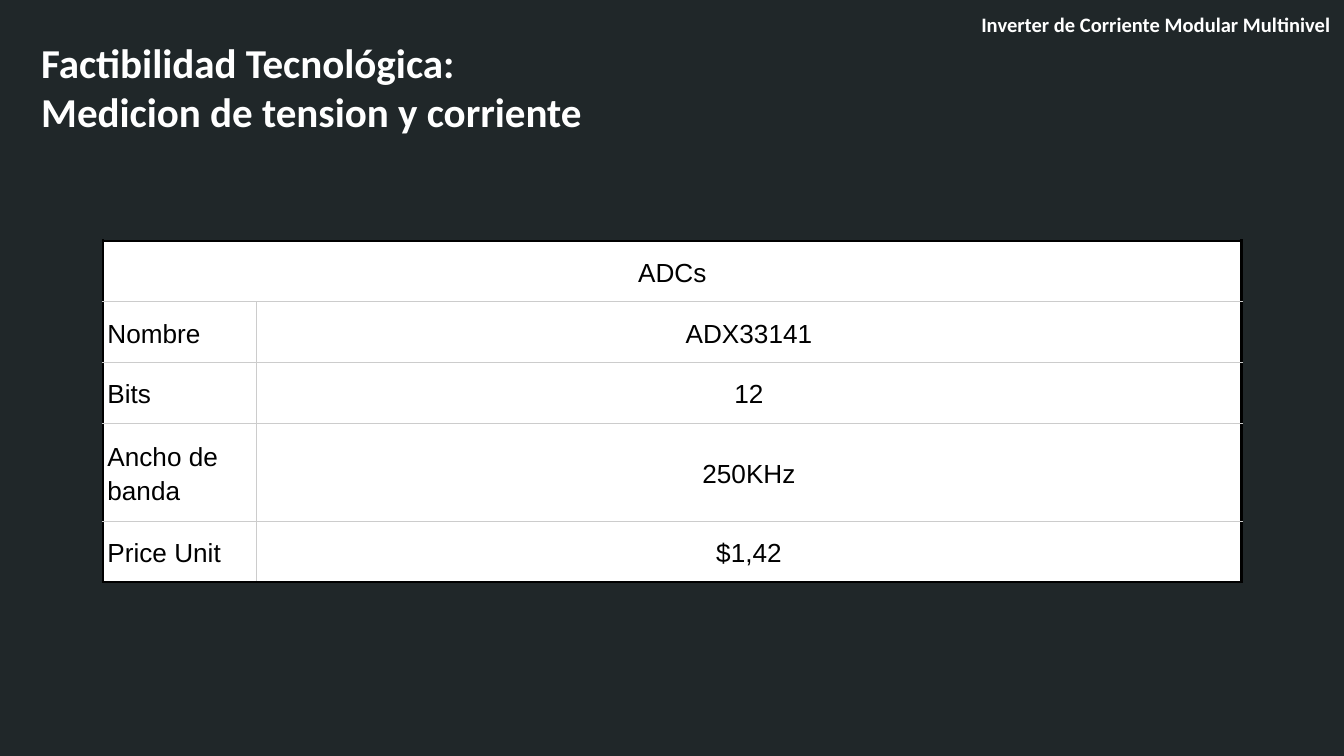
from pptx import Presentation
from pptx.dml.color import RGBColor
from pptx.enum.text import MSO_ANCHOR as Anchor, PP_ALIGN as Align
from pptx.oxml import parse_xml
from pptx.oxml.ns import nsdecls
from pptx.util import Cm, Pt

DARK = RGBColor(0x20, 0x27, 0x29)
WHITE = RGBColor(0xFF, 0xFF, 0xFF)
BLACK = RGBColor(0x00, 0x00, 0x00)
GREY = RGBColor(0xCC, 0xCC, 0xCC)

TABLE_TITLE = "ADCs"
ADC_ROWS = [
    ("Nombre", "ADX33141"),
    ("Bits", "12"),
    ("Ancho de banda", "250KHz"),
    ("Price Unit", "$1,42"),
]
COL_WIDTHS = (2.9, 10.13, 4.24, 4.24)
ROW_HEIGHTS = (1.15, 1.15, 1.15, 1.85, 1.15)


def write_text(tf, text, font="Arial", size=14, color=BLACK, bold=False,
               align=Align.LEFT, spacing=None):
    """Fill a text frame, one paragraph per line of text."""
    tf.word_wrap = True
    for i, line in enumerate(text.split("\n")):
        p = tf.add_paragraph() if i else tf.paragraphs[0]
        p.alignment = align
        p.line_spacing = spacing
        r = p.add_run()
        r.text = line
        r.font.name = font
        r.font.size = Pt(size)
        r.font.bold = bold
        r.font.color.rgb = color


def add_heading(s, box, text, **fmt):
    """Place a bold white heading in the given box (cm)."""
    tf = s.shapes.add_textbox(*map(Cm, box)).text_frame
    tf.margin_left = tf.margin_right = tf.margin_top = tf.margin_bottom = Cm(0.25)
    write_text(tf, text, font="Calibri", color=WHITE, bold=True, **fmt)


def set_borders(cell, **outer):
    """Draw each side black when it is on the table's edge, grey otherwise."""
    tc_pr = cell._tc.get_or_add_tcPr()
    for i, side in enumerate("LRTB"):
        color, width = (BLACK, 1.5) if outer[side] else (GREY, 0.5)
        tc_pr.insert(i, parse_xml(
            f'<a:ln{side} {nsdecls("a")} w="{Pt(width)}"><a:solidFill>'
            f'<a:srgbClr val="{color}"/></a:solidFill></a:ln{side}>'))


def add_adc_table(s, left, top):
    """Place the ADC table with its top left corner at the given point (cm)."""
    n_rows, n_cols = len(ROW_HEIGHTS), len(COL_WIDTHS)
    table = s.shapes.add_table(n_rows, n_cols, Cm(left), Cm(top),
                               Cm(sum(COL_WIDTHS)), Cm(sum(ROW_HEIGHTS))).table
    table.first_row = table.horz_banding = False
    for col, width in zip(table.columns, COL_WIDTHS):
        col.width = Cm(width)
    for row, height in zip(table.rows, ROW_HEIGHTS):
        row.height = Cm(height)

    def fill_cell(row, first, last, text, align):
        cell = table.cell(row, first)
        if last > first:
            cell.merge(table.cell(row, last))
        cell.fill.solid()
        cell.fill.fore_color.rgb = WHITE
        cell.vertical_anchor = Anchor.MIDDLE
        cell.margin_left = cell.margin_right = Cm(0.08)
        cell.margin_top = cell.margin_bottom = Cm(0.05)
        write_text(cell.text_frame, text, align=align, spacing=1.15)
        set_borders(cell, L=first == 0, R=last == n_cols - 1,
                    T=row == 0, B=row == n_rows - 1)

    # Title row across all columns, then label and value rows
    fill_cell(0, 0, n_cols - 1, TABLE_TITLE, Align.CENTER)
    for i, (label, value) in enumerate(ADC_ROWS, start=1):
        fill_cell(i, 0, 0, label, Align.LEFT)
        fill_cell(i, 1, n_cols - 1, value, Align.CENTER)


def main():
    prs = Presentation()
    prs.slide_width, prs.slide_height = Cm(25.4), Cm(14.29)
    s = prs.slides.add_slide(prs.slide_layouts[6])
    s.background.fill.solid()
    s.background.fill.fore_color.rgb = DARK

    # Slide title and running header
    add_heading(s, (0.53, 0.46, 13.54, 2.39),
                "Factibilidad Tecnológica:\nMedicion de tension y corriente", size=22)
    add_heading(s, (17.09, 0, 8.31, 0.99),
                "Inverter de Corriente Modular Multinivel", size=11, align=Align.RIGHT)

    add_adc_table(s, 1.95, 4.55)
    prs.save("out.pptx")


if __name__ == "__main__":
    main()
